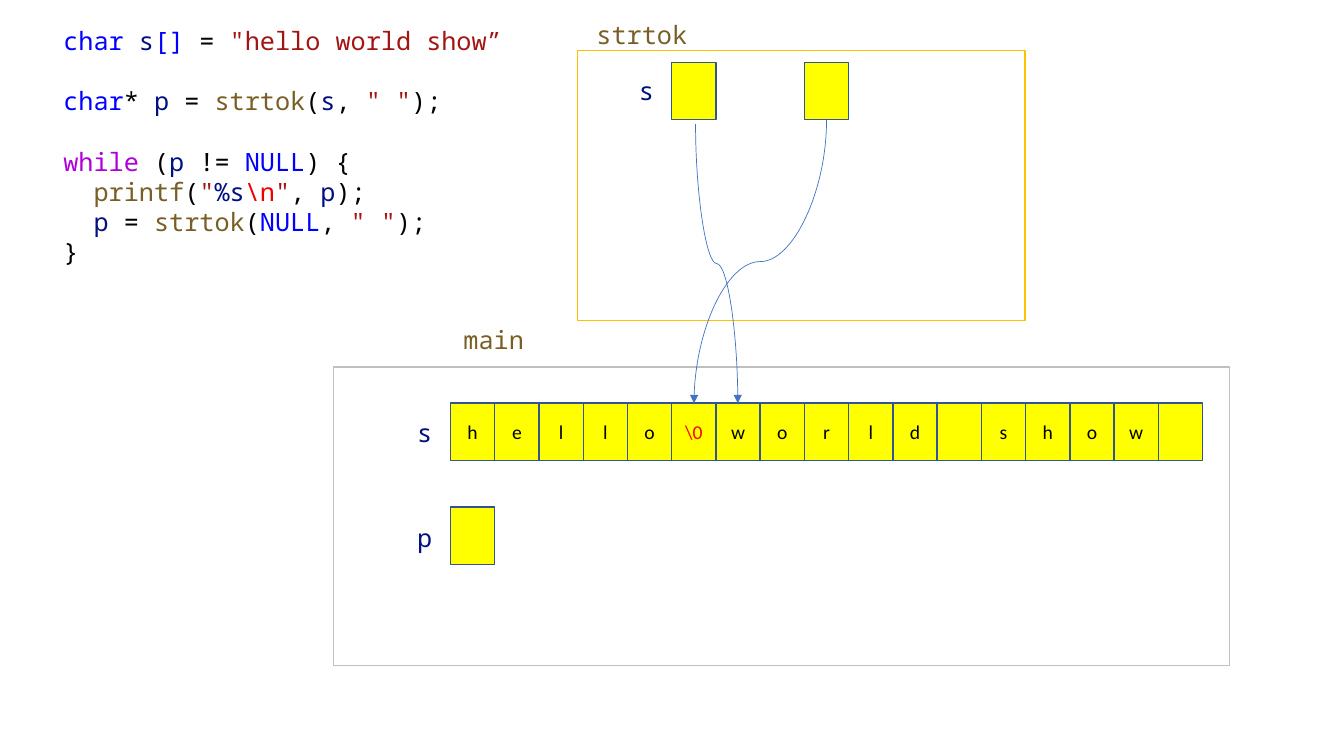
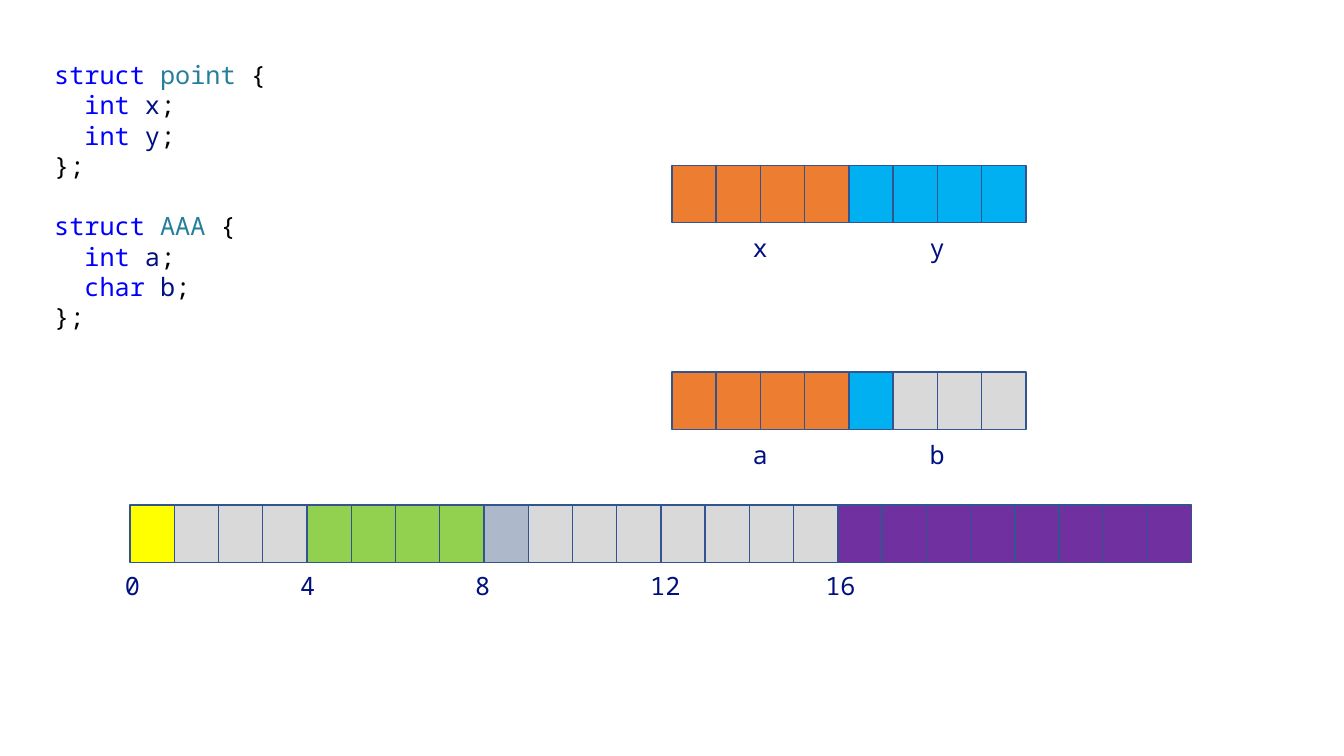
"""Build two slides on C memory: strtok at work, and struct layout."""
import lxml.etree
import pptx
import pptx.dml.color
import pptx.enum.shapes
import pptx.enum.text
import pptx.oxml.ns
import pptx.util

Pt = pptx.util.Pt
RGB = pptx.dml.color.RGBColor.from_string
qn = pptx.oxml.ns.qn
RECTANGLE = pptx.enum.shapes.MSO_SHAPE.RECTANGLE
CURVE = pptx.enum.shapes.MSO_CONNECTOR.CURVE
CODE_FONT, LETTER_FONT = "Noto Sans Mono", "Calibri"
CODE_SIZE, LINE_PITCH, CHAR_WIDTH, INSET = 18, 21.6, 10.8, 7.2
CELL_WIDTH, CELL_HEIGHT = 31.6, 41

COLORS = {
    "keyword": "0000FF", "control": "AF00DB", "variable": "001080",
    "function": "795E26", "string": "A31515", "escape": "EE0000",
    "type": "267F99", "plain": "000000", "terminator": "FF0000",
    "border": "325491", "arrow": "4472C4", "main": "BFBFBF", "strtok": "FFC000",
    "yellow": "FFFF00", "orange": "ED7D31", "blue": "00B0F0", "padding": "D9D9D9",
    "green": "92D050", "slate": "ADB9CA", "purple": "7030A0",
}


def write_code(slide, left, top, lines, width=None):
    """Write lines of (blank lines before, indent depth, runs)."""
    longest = max(sum(len(text) for _, text in runs) for _, _, runs in lines)
    box = slide.shapes.add_textbox(
        Pt(left), Pt(top), Pt(width or longest * CHAR_WIDTH + 2 * INSET),
        Pt(sum(gap + 1 for gap, _, _ in lines) * LINE_PITCH + INSET))
    frame = box.text_frame
    frame.word_wrap = width is not None
    for number, (gap, depth, runs) in enumerate(lines):
        line = frame.add_paragraph() if number else frame.paragraphs[0]
        line.line_spacing = Pt(LINE_PITCH)
        line.space_before = Pt(gap * LINE_PITCH)
        line._p.get_or_add_pPr().set("marL", str(Pt(depth * 2 * CHAR_WIDTH)))
        for role, text in runs:
            run = line.add_run()
            run.text = text
            run.font.name = CODE_FONT
            run.font.size = Pt(CODE_SIZE)
            run.font.color.rgb = RGB(COLORS[role])


def draw_cells(slide, left, top, fills, letters=()):
    """Draw a row of memory cells, with a letter in each where given."""
    for index, fill in enumerate(fills):
        cell = slide.shapes.add_shape(
            RECTANGLE, Pt(left + index * CELL_WIDTH), Pt(top), Pt(CELL_WIDTH), Pt(CELL_HEIGHT))
        cell.shadow.inherit = False
        cell.fill.solid()
        cell.fill.fore_color.rgb = RGB(COLORS[fill])
        cell.line.color.rgb = RGB(COLORS["border"])
        cell.line.width = Pt(1)
        if index < len(letters) and letters[index]:
            frame = cell.text_frame
            frame.margin_left = frame.margin_right = 0
            frame.vertical_anchor = pptx.enum.text.MSO_ANCHOR.MIDDLE
            frame.paragraphs[0].alignment = pptx.enum.text.PP_ALIGN.CENTER
            run = frame.paragraphs[0].add_run()
            run.text = letters[index]
            run.font.name = LETTER_FONT
            run.font.size = Pt(14)
            role = "terminator" if letters[index] == "\\0" else "plain"
            run.font.color.rgb = RGB(COLORS[role])


deck = pptx.Presentation()
deck.slide_width, deck.slide_height = Pt(960), Pt(540)
blank_layout = deck.slide_layouts[6]

strtok_slide = deck.slides.add_slide(blank_layout)
write_code(strtok_slide, 38.2, 14.4, [
    (0, 0, [("keyword", "char "), ("variable", "s"), ("keyword", "[]"), ("plain", " = "),
            ("string", "\"hello world show”")]),
    (1, 0, [("keyword", "char"), ("plain", "* "), ("variable", "p"), ("plain", " = "),
            ("function", "strtok"), ("plain", "("), ("variable", "s"), ("plain", ", "),
            ("string", "\" \""), ("plain", ");")]),
    (1, 0, [("control", "while"), ("plain", " ("), ("variable", "p"), ("plain", " != "),
            ("keyword", "NULL"), ("plain", ") {")]),
    (0, 1, [("function", "printf"), ("plain", "("), ("string", "\""), ("variable", "%s"),
            ("escape", "\\n"), ("string", "\""), ("plain", ", "), ("variable", "p"),
            ("plain", ");")]),
    (0, 1, [("variable", "p"), ("plain", " = "), ("function", "strtok"), ("plain", "("),
            ("keyword", "NULL"), ("plain", ", "), ("string", "\" \""), ("plain", ");")]),
    (0, 0, [("plain", "}")]),
], width=393)

for function, left, top, width, height in [
        ("main", 238.3, 262.1, 640, 213.1), ("strtok", 412.6, 36, 319.7, 193)]:
    stack_frame = strtok_slide.shapes.add_shape(RECTANGLE, Pt(left), Pt(top), Pt(width), Pt(height))
    stack_frame.shadow.inherit = False
    stack_frame.fill.background()
    stack_frame.line.color.rgb = RGB(COLORS[function])
    stack_frame.line.width = Pt(1)

for role, name, left, top in [
        ("function", "main", 324, 228.2), ("function", "strtok", 419, 10.1),
        ("variable", "s", 290.9, 294.5), ("variable", "p", 290.9, 369.4),
        ("variable", "s", 449.3, 50.4)]:
    write_code(strtok_slide, left, top, [(0, 0, [(role, name)])])

letters = [*"hello", "\\0", *"world", "", *"show", ""]
draw_cells(strtok_slide, 321.8, 288, ["yellow"] * len(letters), letters)
for left, top in [(321.8, 362.2), (479.8, 44.6), (574.6, 44.6)]:
    draw_cells(strtok_slide, left, top, ["yellow"])

for start_x, start_y, end_x, end_y in [(496.8, 88.6, 527, 288), (590.4, 85.7, 495.7, 288)]:
    run_width, drop = abs(end_x - start_x), end_y - start_y
    left = (start_x + end_x - drop) / 2
    top = (start_y + end_y - run_width) / 2
    rightward = end_x > start_x
    ends = (left + drop, left) if rightward else (left, left + drop)
    pointer = strtok_slide.shapes.add_connector(
        CURVE, Pt(ends[0]), Pt(top), Pt(ends[1]), Pt(top + run_width))
    pointer.line.color.rgb = RGB(COLORS["arrow"])
    pointer.line.width = Pt(0.5)
    properties = pointer._element.spPr
    properties.find(qn("a:xfrm")).set("rot", str((270 if rightward else 90) * 60000))
    outline = properties.find(qn("a:ln"))
    lxml.etree.SubElement(outline, qn("a:tailEnd"), type="triangle")
    lxml.etree.SubElement(properties, qn("a:effectLst"))

struct_slide = deck.slides.add_slide(blank_layout)
struct_lines = []
for gap, struct, members in [
        (0, "point", [("int ", "x"), ("int ", "y")]),
        (1, "AAA", [("int ", "a"), ("char ", "b")])]:
    struct_lines.append((gap, 0, [("keyword", "struct "), ("type", struct), ("plain", " {")]))
    for kind, member in members:
        struct_lines.append((0, 1, [("keyword", kind), ("variable", member), ("plain", ";")]))
    struct_lines.append((0, 0, [("plain", "};")]))
write_code(struct_slide, 31.7, 38.9, struct_lines, width=291)

for top, members, fills in [
        (118.1, "xy", ["orange"] * 4 + ["blue"] * 4),
        (265.7, "ab", ["orange"] * 4 + ["blue"] + ["padding"] * 3)]:
    draw_cells(struct_slide, 480, top, fills)
    for index, member in enumerate(members):
        write_code(struct_slide, 530.6 + index * 4 * CELL_WIDTH, top + 44.6,
                   [(0, 0, [("variable", member)])])

draw_cells(struct_slide, 92.9, 360.7, ["yellow"] + ["padding"] * 3 + ["green"] * 4
           + ["slate"] + ["padding"] * 7 + ["purple"] * 8)
for index in range(5):
    write_code(struct_slide, 82.1 + index * 125.1, 403.9, [(0, 0, [("variable", str(index * 4))])])

deck.save("out.pptx")
